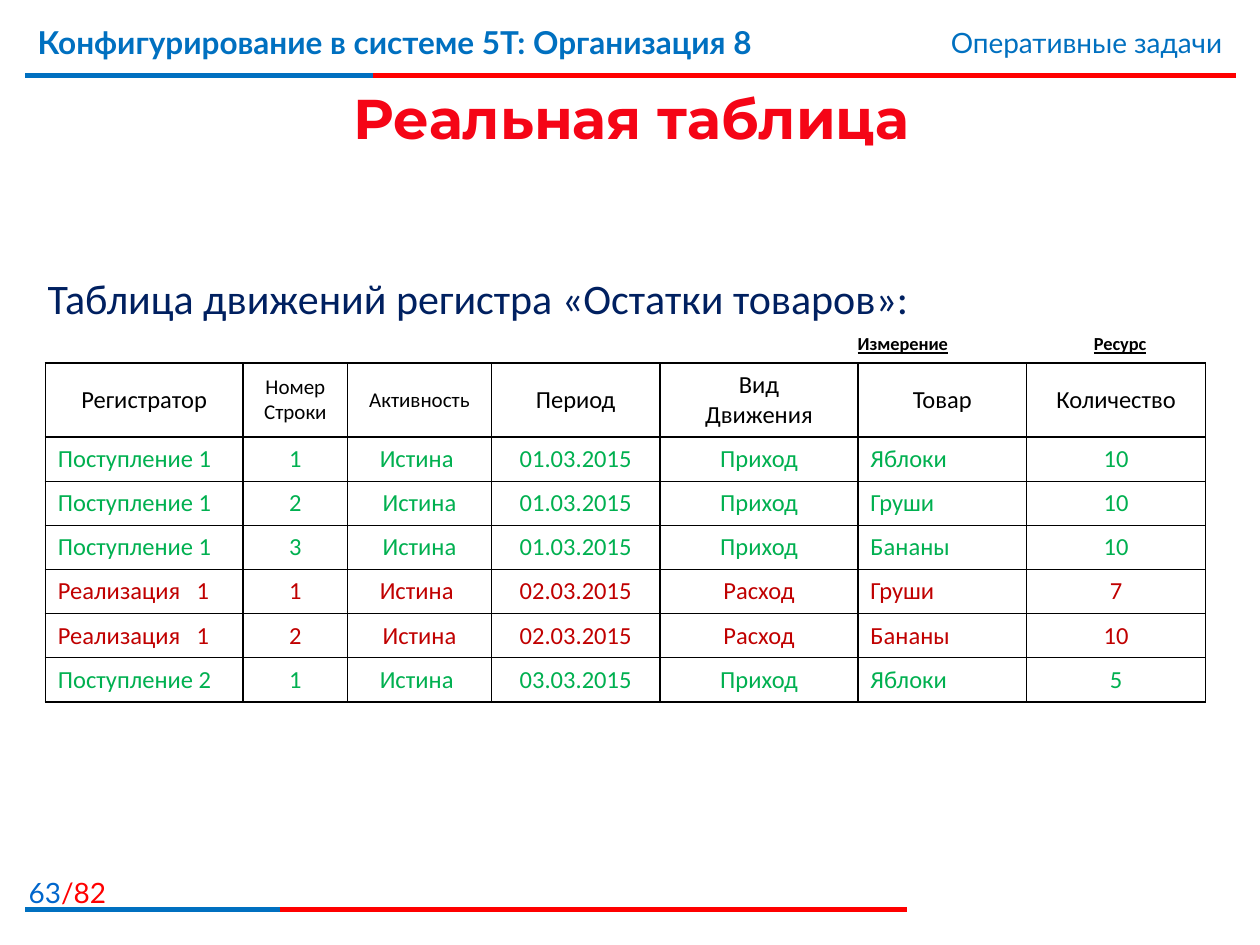
from dataclasses import dataclass
from typing import NamedTuple

from lxml.etree import SubElement
from pptx import Presentation
from pptx.dml.color import RGBColor
from pptx.enum.shapes import MSO_CONNECTOR
from pptx.enum.text import MSO_ANCHOR as Anchor, PP_ALIGN as Align
from pptx.oxml import parse_xml
from pptx.oxml.ns import nsdecls, qn
from pptx.util import Emu, Inches, Pt

BLUE = RGBColor(0x00, 0x70, 0xC0)
PAGE_BLUE = RGBColor(0x00, 0x66, 0xCC)
NAVY = RGBColor(0x00, 0x20, 0x60)
RED = RGBColor(0xFF, 0x00, 0x00)
TITLE_RED = RGBColor(0xF5, 0x05, 0x16)
BLACK = RGBColor(0x00, 0x00, 0x00)
RECEIPT_GREEN = RGBColor(0x00, 0xB0, 0x50)
SALE_RED = RGBColor(0xC0, 0x00, 0x00)

WIDTH, HEIGHT = Inches(10), Inches(7.5)
COLUMNS = (1.57, 0.83, 1.14, 1.34, 1.57, 1.34, 1.42)
HEADER_ROW, BODY_ROW = 0.59, 0.35
NAME_COLUMNS = (0, 5)
KIND_COLUMN = 4
NUMBER_TAB = Inches(1.2)


@dataclass(frozen=True)
class Label:
    text: str
    x: float
    y: float
    width: float
    height: float
    size: float
    color: RGBColor
    font: str = "Calibri"
    bold: bool = False
    underline: bool = False
    align: Align = Align.LEFT
    wrap: bool = True
    anchor: Anchor = Anchor.TOP


class Rule(NamedTuple):
    y: float
    blue_end: float
    red_end: float


class Heading(NamedTuple):
    text: str
    size: int = 14


class Movement(NamedTuple):
    document: str
    line: int
    active: str
    day: int
    product: str
    quantity: int


RULES = (Rule(8, 29.6, 98.1), Rule(96.27, 22.2, 72))

PAGE_NUMBER = Label("63", -1, 92, 10.4, 4.27, 16, PAGE_BLUE, "Lato", align=Align.RIGHT)
LABELS = (
    Label("Конфигурирование в системе 5Т: Организация 8", 2, 1.73, 74, 8.27, 18, BLUE, "Lato", bold=True),
    Label("Оперативные задачи", 59.4, 2, 38.6, 4.93, 16, BLUE, "Lato", align=Align.RIGHT),
    Label("Таблица движений регистра «Остатки товаров»:", 2.8, 28.13, 70.6, 6.67, 24, NAVY, wrap=False),
    Label("Измерение", 66.9, 34.53, 9.5, 3.87, 10.5, BLACK, bold=True, underline=True,
          align=Align.CENTER, wrap=False),
    Label("Ресурс", 85.7, 34.53, 6.4, 3.87, 10.5, BLACK, bold=True, underline=True,
          align=Align.CENTER, wrap=False),
    Label("Реальная таблица", 2.1, 8.4, 96.1, 8, 32, TITLE_RED, "Montserrat", bold=True,
          align=Align.CENTER, anchor=Anchor.MIDDLE),
)

HEADINGS = (
    Heading("Регистратор"), Heading("Номер\nСтроки", 12), Heading("Активность", 12),
    Heading("Период"), Heading("Вид\nДвижения"), Heading("Товар"), Heading("Количество"),
)
MOVEMENTS = (
    Movement("Поступление 1", 1, "Истина ", 1, "Яблоки", 10),
    Movement("Поступление 1", 2, "Истина", 1, "Груши", 10),
    Movement("Поступление 1", 3, "Истина", 1, "Бананы", 10),
    Movement("Реализация\t1", 1, "Истина ", 2, "Груши", 7),
    Movement("Реализация\t1", 2, "Истина", 2, "Бананы", 10),
    Movement("Поступление 2", 1, "Истина ", 3, "Яблоки", 5),
)


def across(percent: float) -> Emu:
    return Emu(round(WIDTH * percent / 100))


def down(percent: float) -> Emu:
    return Emu(round(HEIGHT * percent / 100))


def write(frame, text: str, *, size: float, color: RGBColor, font: str = "Calibri",
          bold: bool = False, underline: bool = False, align: Align = Align.LEFT,
          continued: bool = False) -> None:
    for index, line in enumerate(text.split("\n")):
        paragraph = frame.add_paragraph() if index else frame.paragraphs[-1 if continued else 0]
        paragraph.alignment = align
        run = paragraph.add_run()
        run.text = line
        run.font.name, run.font.size = font, Pt(size)
        run.font.bold, run.font.underline = bold, underline
        run.font.color.rgb = color


def draw_label(slide, label: Label):
    box = slide.shapes.add_textbox(across(label.x), down(label.y),
                                   across(label.width), down(label.height))
    frame = box.text_frame
    frame.word_wrap = label.wrap
    frame.vertical_anchor = label.anchor
    write(frame, label.text, size=label.size, color=label.color, font=label.font,
          bold=label.bold, underline=label.underline, align=label.align)
    return frame


def draw_rule(slide, rule: Rule) -> None:
    for end, color in ((rule.red_end, RED), (rule.blue_end, BLUE)):
        line = slide.shapes.add_connector(MSO_CONNECTOR.STRAIGHT, across(2), down(rule.y),
                                          across(end), down(rule.y))
        line.line.color.rgb = color
        line.line.width = Pt(3)
        SubElement(line._element.spPr, qn("a:effectLst"))


def fill_cell(cell, text: str, size: int, color: RGBColor, align: Align) -> None:
    cell.vertical_anchor = Anchor.MIDDLE
    cell.fill.background()
    properties = cell._tc.get_or_add_tcPr()
    for position, side in enumerate(("lnL", "lnR", "lnT", "lnB")):
        properties.insert(position, parse_xml(
            f'<a:{side} {nsdecls("a")} w="{Pt(1)}"><a:solidFill>'
            f'<a:srgbClr val="{BLACK}"/></a:solidFill></a:{side}>'))
    write(cell.text_frame, text, size=size, color=color, align=align)
    if "\t" in text:
        stops = SubElement(cell.text_frame.paragraphs[0]._p.get_or_add_pPr(), qn("a:tabLst"))
        SubElement(stops, qn("a:tab"), pos=str(NUMBER_TAB), algn="r")


def draw_register(slide) -> None:
    heights = (HEADER_ROW,) + (BODY_ROW,) * len(MOVEMENTS)
    register = slide.shapes.add_table(len(heights), len(COLUMNS), across(3.6), down(38.4),
                                      Inches(sum(COLUMNS)), Inches(sum(heights))).table
    register.first_row = register.horz_banding = False
    for column, width in zip(register.columns, COLUMNS):
        column.width = Inches(width)
    for row, height in zip(register.rows, heights):
        row.height = Inches(height)
    for column, heading in enumerate(HEADINGS):
        fill_cell(register.cell(0, column), heading.text, heading.size, BLACK, Align.CENTER)
    for row, movement in enumerate(MOVEMENTS, start=1):
        received = movement.document.startswith("Поступление")
        kind, color = ("Приход", RECEIPT_GREEN) if received else ("Расход", SALE_RED)
        values = (movement.document, str(movement.line), movement.active,
                  f"{movement.day:02}.03.2015", kind, movement.product, str(movement.quantity))
        for column, value in enumerate(values):
            align = Align.LEFT if column in NAME_COLUMNS else Align.CENTER
            fill_cell(register.cell(row, column), value, 14, color, align)
        kind_cell = register.cell(row, KIND_COLUMN)
        kind_cell.margin_top = kind_cell.margin_bottom = 0


def main() -> None:
    deck = Presentation()
    deck.slide_width, deck.slide_height = WIDTH, HEIGHT
    slide = deck.slides.add_slide(deck.slide_layouts[6])
    for rule in RULES:
        draw_rule(slide, rule)
    page = draw_label(slide, PAGE_NUMBER)
    write(page, "/82", size=PAGE_NUMBER.size, color=RED, font=PAGE_NUMBER.font,
          align=PAGE_NUMBER.align, continued=True)
    draw_register(slide)
    for label in LABELS:
        draw_label(slide, label)
    deck.save("out.pptx")


if __name__ == "__main__":
    main()
